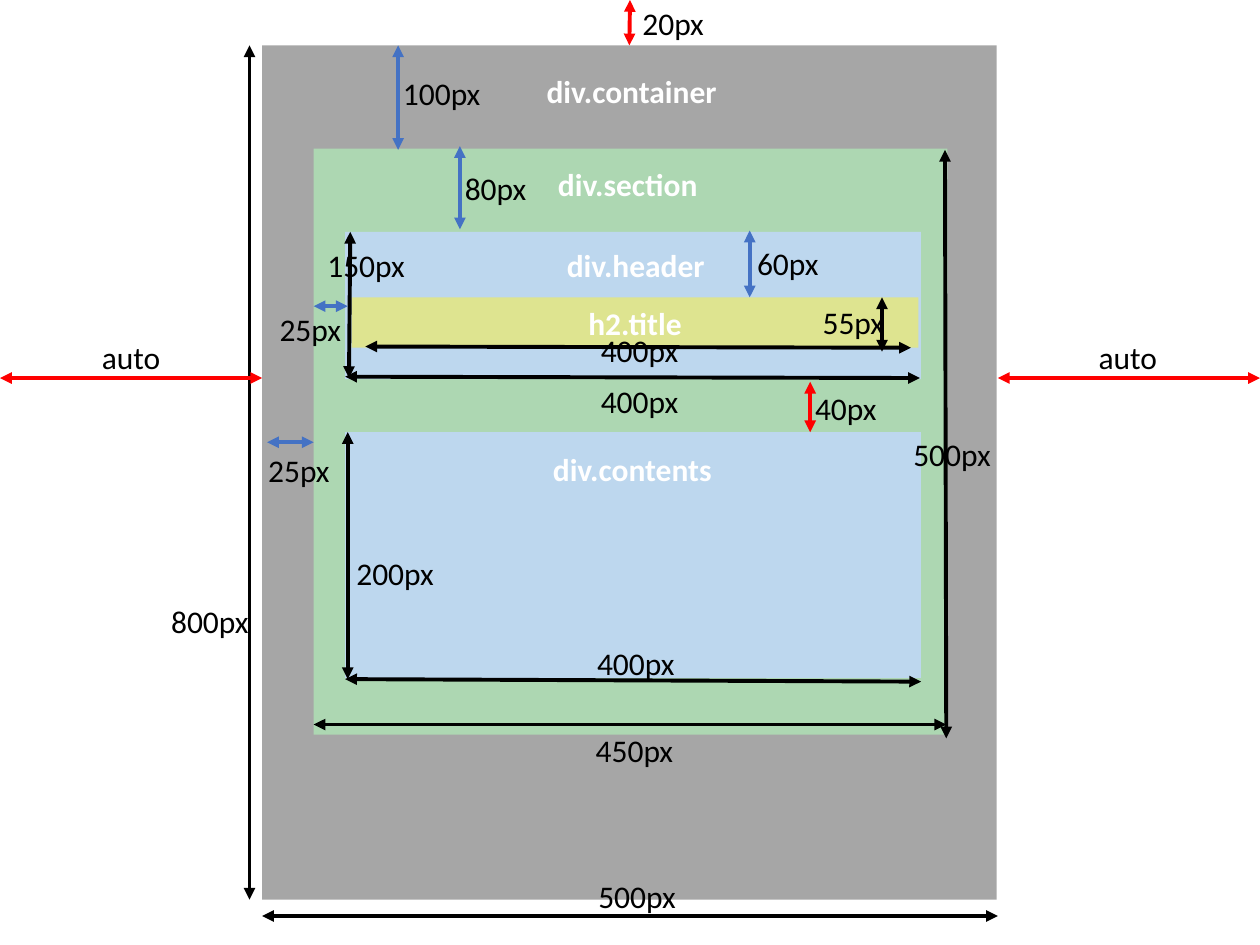
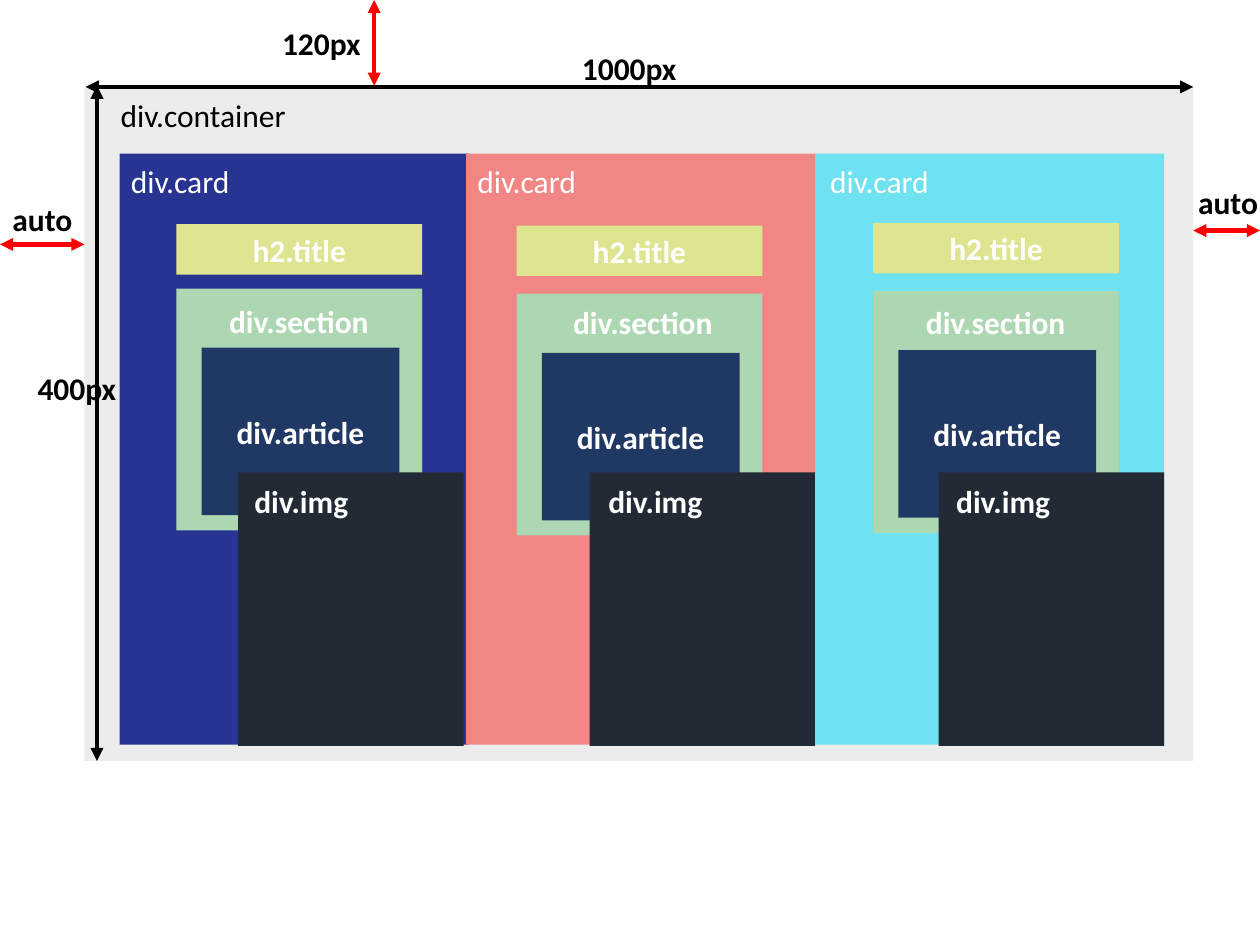
"""Build two slides that measure the nested boxes of a web page layout."""
import lxml.etree
import pptx
import pptx.dml.color
import pptx.enum.shapes
import pptx.enum.text
import pptx.oxml.ns
import pptx.util

Inches = pptx.util.Inches

COLOURS = {
    "black": "000000", "white": "FFFFFF", "red": "FF0000", "blue": "4472C4",
    "grey": "A6A6A6", "pale grey": "ECECEC", "green": "ADD7B2",
    "sky": "BDD7EE", "yellow": "DEE490", "navy": "203864",
    "slate": "222A35", "indigo": "283491", "coral": "F18684", "cyan": "6EE2F1",
}
FONT = {"name": "Calibri", "size": pptx.util.Pt(18)}
LABEL_FRAME = {
    "word_wrap": False,
    "auto_size": pptx.enum.text.MSO_AUTO_SIZE.SHAPE_TO_FIT_TEXT,
}
LABEL_HEIGHT = 0.4
LABEL_WIDTHS = {
    "auto": 0.69, "1000px": 0.96, "div.container": 1.56, "div.section": 1.32,
    "div.header": 1.3, "div.contents": 1.47, "div.card": 0.99, "div.img": 0.95,
}
PIXEL_WIDTHS = {4: 0.69, 5: 0.84}

# fill, (left, top, width, height), label, label position
PAGE_BOXES = [
    ("grey", (2.08, 0.36, 5.83, 6.78), "div.container", (4.24, 0.52)),
    ("green", (2.49, 1.18, 5.03, 4.65), "div.section", (4.33, 1.26)),
    ("sky", (2.74, 1.84, 4.57, 1.17), "div.header", (4.4, 1.9)),
    ("yellow", (2.79, 2.36, 4.5, 0.4), "h2.title", None),
    ("sky", (2.74, 3.43, 4.57, 1.95), "div.contents", (4.29, 3.52)),
]
TOP_MARGIN = ("20px", (5, -0.02), "red", (5, 0), (5, 0.36))
# label, label position, colour, start, end
PAGE_MEASURES = [
    ("800px", (1.26, 4.73), "black", (1.98, 0.36), (1.98, 7.14)),
    ("500px", (4.65, 6.91), "black", (7.92, 7.27), (2.08, 7.27)),
    ("auto", (0.71, 2.63), "red", (0, 3), (2.08, 3)),
    ("auto", (8.62, 2.63), "red", (7.92, 3), (10, 3)),
    ("25px", (2.03, 3.53), "blue", (2.12, 3.51), (2.49, 3.51)),
    ("450px", (4.63, 5.75), "black", (7.51, 5.75), (2.49, 5.75)),
    ("500px", (7.15, 3.4), "black", (7.51, 5.86), (7.5, 1.19)),
    ("400px", (4.67, 2.98), "black", (7.3, 3), (2.74, 2.99)),
    ("150px", (2.5, 1.9), "black", (2.77, 3), (2.78, 1.84)),
    ("400px", (4.67, 2.58), "black", (7.23, 2.76), (2.9, 2.75)),
    ("55px", (6.43, 2.36), "black", (7, 2.79), (7, 2.36)),
    ("25px", (2.12, 2.41), "blue", (2.49, 2.43), (2.76, 2.43)),
    ("60px", (5.91, 1.89), "blue", (5.95, 1.83), (5.95, 2.36)),
    ("100px", (3.1, 0.54), "blue", (3.16, 0.36), (3.16, 1.19)),
    ("80px", (3.59, 1.29), "blue", (3.65, 1.16), (3.65, 1.82)),
    ("400px", (4.64, 5.06), "black", (7.31, 5.41), (2.74, 5.39)),
    ("200px", (2.73, 4.35), "black", (2.76, 5.39), (2.76, 3.43)),
    ("40px", (6.37, 3.04), "red", (6.43, 3.03), (6.43, 3.43)),
]
CARD_MEASURES = [
    ("1000px", (4.52, 0.34), "black", (0.68, 0.69), (9.47, 0.69)),
    ("400px", (0.2, 2.88), "black", (0.77, 0.68), (0.77, 6.04)),
    ("120px", (2.14, 0.14), "red", (2.97, 0), (2.97, 0.68)),
    ("auto", (0, 1.54), "red", (0, 1.94), (0.67, 1.94)),
    ("auto", (9.41, 1.4), "red", (9.47, 1.83), (10, 1.83)),
]
CARDS = [
    {"fill": "indigo", "left": 0.95, "name": 0.94, "title": (1.4, 1.78),
     "section": (1.4, 2.29), "section name": (1.72, 2.35),
     "image": 1.89, "image name": 1.92},
    {"fill": "coral", "left": 3.7, "name": 3.69, "title": (4.1, 1.79),
     "section": (4.1, 2.33), "section name": (4.45, 2.36),
     "image": 4.68, "image name": 4.73},
    {"fill": "cyan", "left": 6.47, "name": 6.49, "title": (6.93, 1.77),
     "section": (6.93, 2.31), "section name": (7.25, 2.36),
     "image": 7.45, "image name": 7.49},
]


def rgb(colour):
    return pptx.dml.color.RGBColor.from_string(COLOURS[colour])


def set_all(target, values):
    for name, value in values.items():
        setattr(target, name, value)


def write(paragraph, text, colour, bold):
    run = paragraph.add_run()
    run.text = text
    set_all(run.font, {**FONT, "bold": bold})
    run.font.color.rgb = rgb(colour)


def add_label(slide, text, position, colour="white", bold=True):
    width = LABEL_WIDTHS.get(text) or PIXEL_WIDTHS[len(text)]
    shape = slide.shapes.add_textbox(
        *map(Inches, (*position, width, LABEL_HEIGHT)))
    set_all(shape.text_frame, LABEL_FRAME)
    write(shape.text_frame.paragraphs[0], text, colour, bold)


def add_box(slide, fill, bounds, text=None, label_position=None):
    shape = slide.shapes.add_shape(
        pptx.enum.shapes.MSO_SHAPE.RECTANGLE, *map(Inches, bounds))
    shape.shadow.inherit = False
    shape.fill.solid()
    shape.fill.fore_color.rgb = rgb(fill)
    shape.line.fill.background()
    if label_position:
        add_label(slide, text, label_position)
    elif text:
        shape.text_frame.vertical_anchor = pptx.enum.text.MSO_ANCHOR.MIDDLE
        paragraph = shape.text_frame.paragraphs[0]
        paragraph.alignment = pptx.enum.text.PP_ALIGN.CENTER
        write(paragraph, text, "white", True)
    return shape


def add_measure(slide, measure, weight, bold):
    text, position, colour, start, end = measure
    connector = slide.shapes.add_connector(
        pptx.enum.shapes.MSO_CONNECTOR.STRAIGHT, *map(Inches, start + end))
    connector.line.width = pptx.util.Pt(weight)
    connector.line.color.rgb = rgb(colour)
    properties = connector._element.spPr
    qn = pptx.oxml.ns.qn
    for tag in ("a:headEnd", "a:tailEnd"):
        lxml.etree.SubElement(properties.find(qn("a:ln")), qn(tag), type="triangle")
    lxml.etree.SubElement(properties, qn("a:effectLst"))
    add_label(slide, text, position, "black", bold)
    return connector


def build_page_slide(slide):
    boxes = [add_box(slide, *box) for box in PAGE_BOXES]
    for measure in PAGE_MEASURES:
        add_measure(slide, measure, 2.25, False)
    add_measure(slide, TOP_MARGIN, 2.25, False).end_connect(boxes[0], 0)


def add_card(slide, card):
    section_left, section_top = card["section"]
    add_box(slide, card["fill"], (card["left"], 1.22, 2.77, 4.69))
    add_label(slide, "div.card", (card["name"], 1.24), bold=False)
    add_box(slide, "yellow", (*card["title"], 1.95, 0.4), "h2.title")
    add_box(slide, "green", (section_left, section_top, 1.95, 1.92),
            "div.section", card["section name"])
    add_box(slide, "navy", (section_left + 0.2, section_top + 0.47, 1.57, 1.33),
            "div.article")
    add_box(slide, "slate", (card["image"], 3.75, 1.79, 2.17),
            "div.img", (card["image name"], 3.78))


def build_card_slide(slide):
    add_box(slide, "pale grey", (0.67, 0.68, 8.8, 5.36))
    add_label(slide, "div.container", (0.86, 0.71), "black", False)
    for card in CARDS:
        add_card(slide, card)
    for measure in CARD_MEASURES:
        add_measure(slide, measure, 2.5, True)


def main():
    presentation = pptx.Presentation()
    set_all(presentation, {"slide_width": Inches(10), "slide_height": Inches(7.5)})
    blank_layout = presentation.slide_layouts[6]
    for build in (build_page_slide, build_card_slide):
        build(presentation.slides.add_slide(blank_layout))
    presentation.save("out.pptx")


if __name__ == "__main__":
    main()
